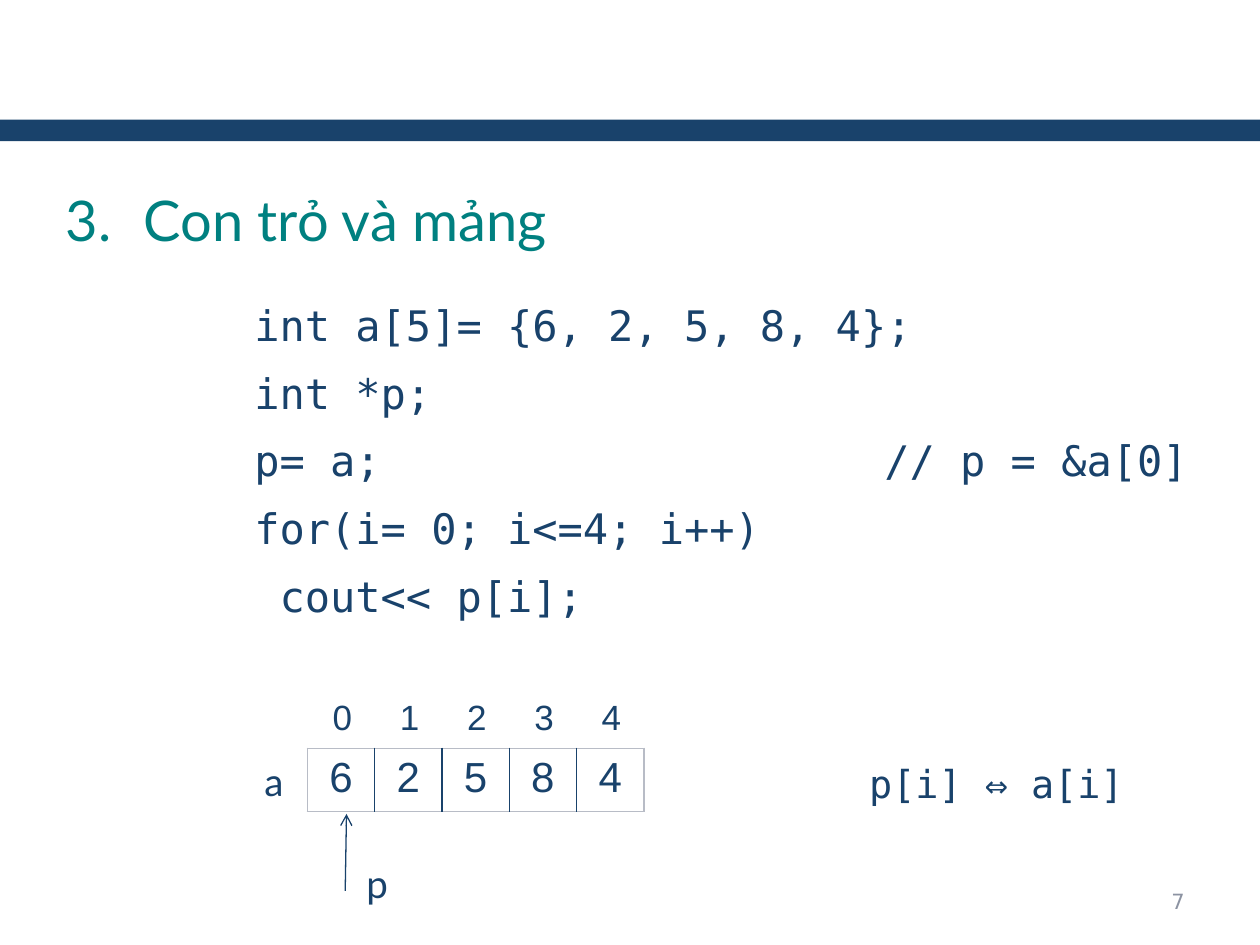
from dataclasses import dataclass
from lxml.etree import SubElement as Sub
from pptx import Presentation
from pptx.dml.color import RGBColor
from pptx.enum.shapes import MSO_CONNECTOR as Conn, MSO_SHAPE as Shape
from pptx.enum.text import MSO_ANCHOR as Anchor, PP_ALIGN as Align
from pptx.oxml.ns import qn
from pptx.util import Inches, Pt

NAVY, TEAL, GRAY, EDGE = "19426B", "008080", "8C93A2", "B8BCC6"
MONO = "DejaVu Sans Mono"


@dataclass
class Label:
    text: str
    x: float
    y: float
    w: float
    h: float
    face: str = "Lato"
    size: float = 22
    color: str = NAVY
    align: Align = Align.LEFT
    anchor: Anchor = Anchor.TOP


@dataclass
class Strip:
    items: str
    x: float
    y: float
    h: float
    size: float
    boxed: bool


def paint(color: str) -> RGBColor:
    return RGBColor.from_string(color)


def write(para, text: str, face: str, size: float, color: str) -> None:
    run = para.add_run()
    run.text = text
    run.font.name = face
    run.font.size = Pt(size)
    run.font.color.rgb = paint(color)


def add_label(slide, item: Label) -> None:
    box = slide.shapes.add_textbox(*map(Inches, (item.x, item.y, item.w, item.h)))
    frame = box.text_frame
    frame.word_wrap = True
    frame.vertical_anchor = item.anchor
    para = frame.paragraphs[0]
    para.alignment = item.align
    write(para, item.text, item.face, item.size, item.color)


def add_edge(cell, side: str, color: str | None) -> None:
    line = Sub(cell._tc.get_or_add_tcPr(), qn(f"a:{side}"), w=str(Pt(1)))
    if color:
        fill = Sub(line, qn("a:solidFill"))
        Sub(fill, qn("a:srgbClr"), val=color)
    else:
        Sub(line, qn("a:noFill"))


def add_strip(slide, strip: Strip) -> None:
    count = len(strip.items)
    table = slide.shapes.add_table(
        1, count, Inches(strip.x), Inches(strip.y), Inches(2.67), Inches(strip.h)
    ).table
    table.first_row = table.horz_banding = False
    for i, text in enumerate(strip.items):
        cell = table.cell(0, i)
        para = cell.text_frame.paragraphs[0]
        para.alignment = Align.CENTER
        write(para, text, "Arial", strip.size, NAVY)
        sides = {
            "lnL": NAVY if i else EDGE,
            "lnR": NAVY if i < count - 1 else EDGE,
            "lnT": EDGE,
            "lnB": EDGE,
        }
        for side, color in sides.items():
            add_edge(cell, side, color if strip.boxed else None)
        cell.fill.background()


def add_title(slide, text: str) -> None:
    title = slide.shapes.title
    title.left, title.top, title.width, title.height = map(
        Inches, (0.42, 1.48, 9.17, 0.6)
    )
    frame = title.text_frame
    frame.vertical_anchor = Anchor.TOP
    para = frame.paragraphs[0]
    para.alignment = Align.LEFT
    para.line_spacing = 0.9
    props = para._p.get_or_add_pPr()
    props.set("marL", str(Inches(0.62)))
    props.set("indent", str(Inches(-0.62)))
    Sub(props, qn("a:buFont"), typeface="+mj-lt")
    Sub(props, qn("a:buAutoNum"), type="arabicPeriod", startAt="3")
    write(para, text, "Lato", 32, TEAL)


def add_code(slide, lines: list[str]) -> None:
    box = slide.shapes.add_textbox(*map(Inches, (1.92, 2.33, 7.67, 2.75)))
    frame = box.text_frame
    frame.word_wrap = True
    for i, line in enumerate(lines):
        para = frame.add_paragraph() if i else frame.paragraphs[0]
        if i:
            para.space_before = Pt(9.8)
        tabs = Sub(para._p.get_or_add_pPr(), qn("a:tabLst"))
        Sub(tabs, qn("a:tab"), pos=str(Inches(5)), algn="l")
        write(para, line, MONO, 24, NAVY)


def add_arrow(slide, x1: float, y1: float, x2: float, y2: float) -> None:
    arrow = slide.shapes.add_connector(
        Conn.STRAIGHT, *map(Inches, (x1, y1, x2, y2))
    )
    arrow.line.color.rgb = paint(NAVY)
    arrow.line.width = Pt(0.75)
    Sub(arrow.line._get_or_add_ln(), qn("a:tailEnd"), type="arrow")
    Sub(arrow._element.spPr, qn("a:effectLst"))


def add_bar(slide) -> None:
    bar = slide.shapes.add_shape(Shape.RECTANGLE, *map(Inches, (0, 0.95, 10, 0.17)))
    bar.shadow.inherit = False
    bar.fill.solid()
    bar.fill.fore_color.rgb = paint(NAVY)
    bar.line.fill.background()


def main() -> None:
    deck = Presentation()
    deck.slide_width, deck.slide_height = Inches(10), Inches(7.5)
    slide = deck.slides.add_slide(deck.slide_layouts[5])
    add_bar(slide)
    add_title(slide, "Con trỏ và mảng")
    add_code(slide, [
        "int a[5]= {6, 2, 5, 8, 4};",
        "int *p;",
        "p= a;\t// p = &a[0]",
        "for(i= 0; i<=4; i++)",
        " cout<< p[i];",
    ])
    for strip in (
        Strip("62584", 2.44, 5.94, 0.48, 24, True),
        Strip("01234", 2.45, 5.5, 0.43, 20, False),
    ):
        add_strip(slide, strip)
    add_arrow(slide, 2.74, 7.07, 2.75, 6.46)
    for item in (
        Label("a", 2, 5.97, 0.39, 0.47),
        Label("p", 2.81, 6.78, 0.39, 0.47),
        Label("p[i] ⇔ a[i]", 6.8, 5.98, 2.28, 0.47, MONO),
        Label("7", 7.17, 6.95, 2.33, 0.4, "DejaVu Sans", 12, GRAY,
              Align.RIGHT, Anchor.MIDDLE),
    ):
        add_label(slide, item)
    deck.save("out.pptx")


if __name__ == "__main__":
    main()
